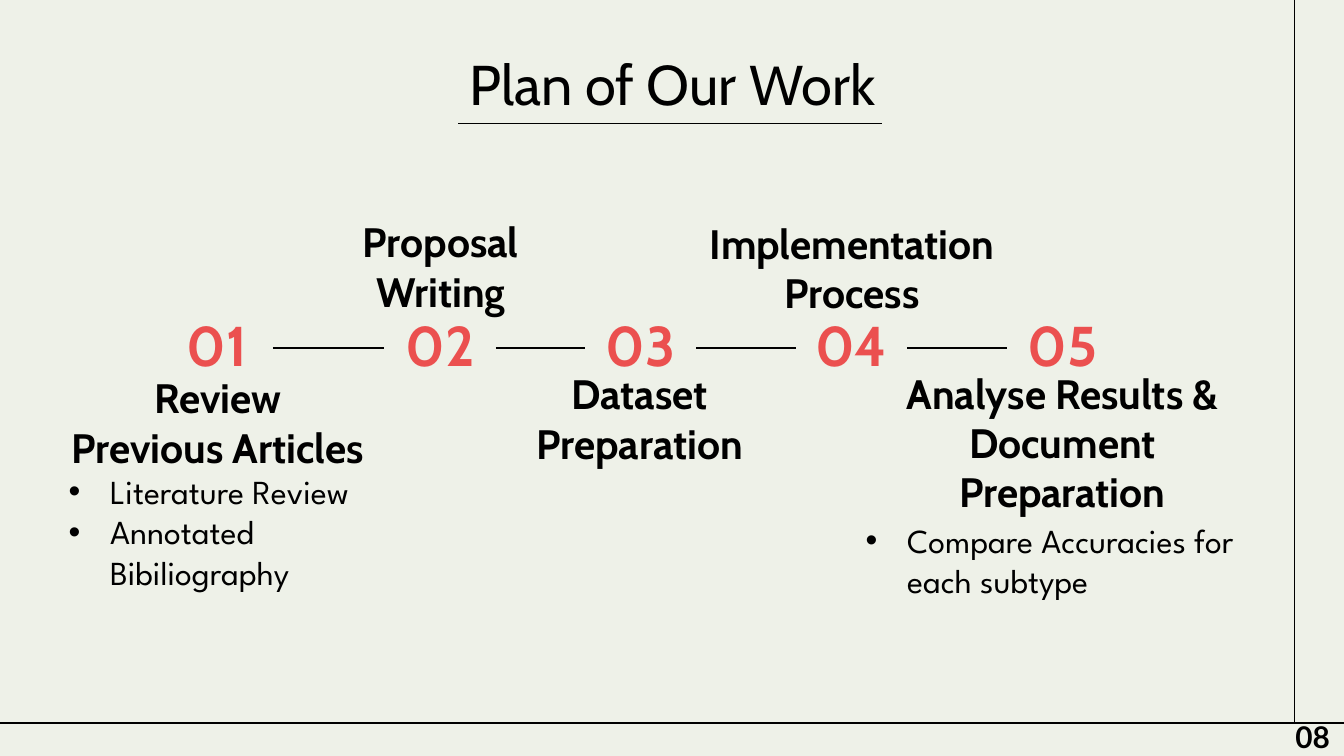
from lxml import etree
from pptx import Presentation
from pptx.dml.color import RGBColor
from pptx.enum.shapes import MSO_CONNECTOR
from pptx.enum.text import MSO_ANCHOR, MSO_AUTO_SIZE, PP_ALIGN
from pptx.oxml.ns import qn
from pptx.util import Inches, Pt

STRAIGHT = MSO_CONNECTOR.STRAIGHT
TOP, MIDDLE, BOTTOM = MSO_ANCHOR.TOP, MSO_ANCHOR.MIDDLE, MSO_ANCHOR.BOTTOM
CENTER, LEFT = PP_ALIGN.CENTER, PP_ALIGN.LEFT
NO_AUTOFIT = MSO_AUTO_SIZE.NONE

BACKGROUND = RGBColor(0xEE, 0xF1, 0xE8)
INK = RGBColor(0x00, 0x00, 0x00)
CORAL = RGBColor(0xEB, 0x50, 0x4F)

TITLE_AND_TWO_LISTS = 3
SLIDE_WIDTH = Inches(10)
SLIDE_HEIGHT = SLIDE_WIDTH * 9 // 16
BULLET_INDENT = Inches(0.31)
NUMBER_TOP, NUMBER_WIDTH, NUMBER_HEIGHT = 2.28, 0.83, 0.63
TIMELINE_Y = 2.59
HEADING_HEIGHT = 0.42

# Number left edge, then heading left, top, width and lines
STEPS = [
    (1.2, 0.2, 2.93, 2.84, ["Review", "Previous Articles"]),
    (2.86, 2.21, 1.77, 2.14, ["Proposal Writing"]),
    (4.35, 3.69, 2.9, 2.14, ["Dataset", "Preparation"]),
    (5.92, 4.93, 1.78, 2.82, ["Implementation Process"]),
    (7.49, 6.56, 3.08, 2.69, ["Analyse Results & Document Preparation"]),
]


def add_line(slide, x1, y1, x2, y2):
    line = slide.shapes.add_connector(
        STRAIGHT, Inches(x1), Inches(y1), Inches(x2), Inches(y2))
    line.line.color.rgb = INK
    line.line.width = Pt(0.75)
    etree.SubElement(line._element.spPr, qn("a:effectLst"))


def place(shape, left, top, width, height):
    shape.left, shape.top = Inches(left), Inches(top)
    shape.width, shape.height = Inches(width), Inches(height)


def add_bullet(paragraph):
    properties = paragraph._p.get_or_add_pPr()
    properties.set("marL", str(BULLET_INDENT))
    properties.set("indent", str(-BULLET_INDENT))
    color = etree.SubElement(properties, qn("a:buClr"))
    etree.SubElement(color, qn("a:srgbClr")).set("val", str(INK))
    etree.SubElement(properties, qn("a:buFont")).set("typeface", "Arial")
    etree.SubElement(properties, qn("a:buChar")).set("char", "•")


def write(shape, lines, font, size, color=INK, bold=False,
          align=CENTER, anchor=MIDDLE, bulleted=False):
    frame = shape.text_frame
    frame.word_wrap = True
    frame.auto_size = NO_AUTOFIT
    frame.vertical_anchor = anchor
    frame.margin_left = frame.margin_right = Inches(0.1)
    frame.margin_top = frame.margin_bottom = Inches(0.1)
    for index, line in enumerate(lines):
        paragraph = frame.paragraphs[0] if index == 0 else frame.add_paragraph()
        if bulleted:
            add_bullet(paragraph)
        paragraph.alignment = align
        paragraph.space_before = Pt(0)
        run = paragraph.add_run()
        run.text = line
        run.font.name = font
        run.font.size = Pt(size)
        run.font.bold = bold
        run.font.color.rgb = color


def add_text(slide, box, lines, font, size, **style):
    textbox = slide.shapes.add_textbox(*[Inches(length) for length in box])
    write(textbox, lines, font, size, **style)
    return textbox


def add_title(slide, text):
    title = slide.shapes.title
    place(title, 0.79, 0.27, 8.43, 0.63)
    write(title, [text], "Cabin", 30, anchor=TOP)
    add_line(slide, 3.41, 0.92, 6.56, 0.92)


def add_step(slide, number, number_left, left, top, width, heading):
    add_text(slide, (left, top, width, HEADING_HEIGHT), heading,
             "Cabin", 22, bold=True)
    add_text(slide, (number_left, NUMBER_TOP, NUMBER_WIDTH, NUMBER_HEIGHT),
             [f"{number:02}"], "Cabin", 30, color=CORAL, bold=True, anchor=BOTTOM)


def fill_list(placeholder, box, items):
    place(placeholder, *box)
    write(placeholder, items, "League Spartan", 18, align=LEFT, bulleted=True)


def add_page_number(slide, text):
    page_number = add_text(slide, (9.54, 5.3, 0.46, 0.37), [text],
                           "Lato", 16, bold=True, align=LEFT, anchor=TOP)
    frame = page_number.text_frame
    frame.word_wrap = False
    frame.margin_top = frame.margin_bottom = Inches(0.05)


def main():
    prs = Presentation()
    prs.slide_width, prs.slide_height = SLIDE_WIDTH, SLIDE_HEIGHT
    slide = prs.slides.add_slide(prs.slide_layouts[TITLE_AND_TWO_LISTS])
    slide.background.fill.solid()
    slide.background.fill.fore_color.rgb = BACKGROUND

    # Frame lines along the right and bottom edges
    add_line(slide, 9.63, -0.01, 9.63, 5.38)
    add_line(slide, 0, 5.38, 10.06, 5.38)

    add_title(slide, "Plan of Our Work")

    # Timeline: numbered steps, joined by lines across the gaps
    for number, step in enumerate(STEPS, start=1):
        add_step(slide, number, *step)
    for current, following in zip(STEPS, STEPS[1:]):
        add_line(slide, current[0] + NUMBER_WIDTH, TIMELINE_Y,
                 following[0], TIMELINE_Y)

    # Details under the first and last steps
    fill_list(slide.placeholders[1], (0.41, 3.48, 2.7, 0.95),
              ["Literature Review", "Annotated Bibiliography"])
    fill_list(slide.placeholders[2], (6.34, 3.69, 2.97, 0.95),
              ["Compare Accuracies for each subtype"])

    add_page_number(slide, "08")
    prs.save("out.pptx")


if __name__ == "__main__":
    main()
